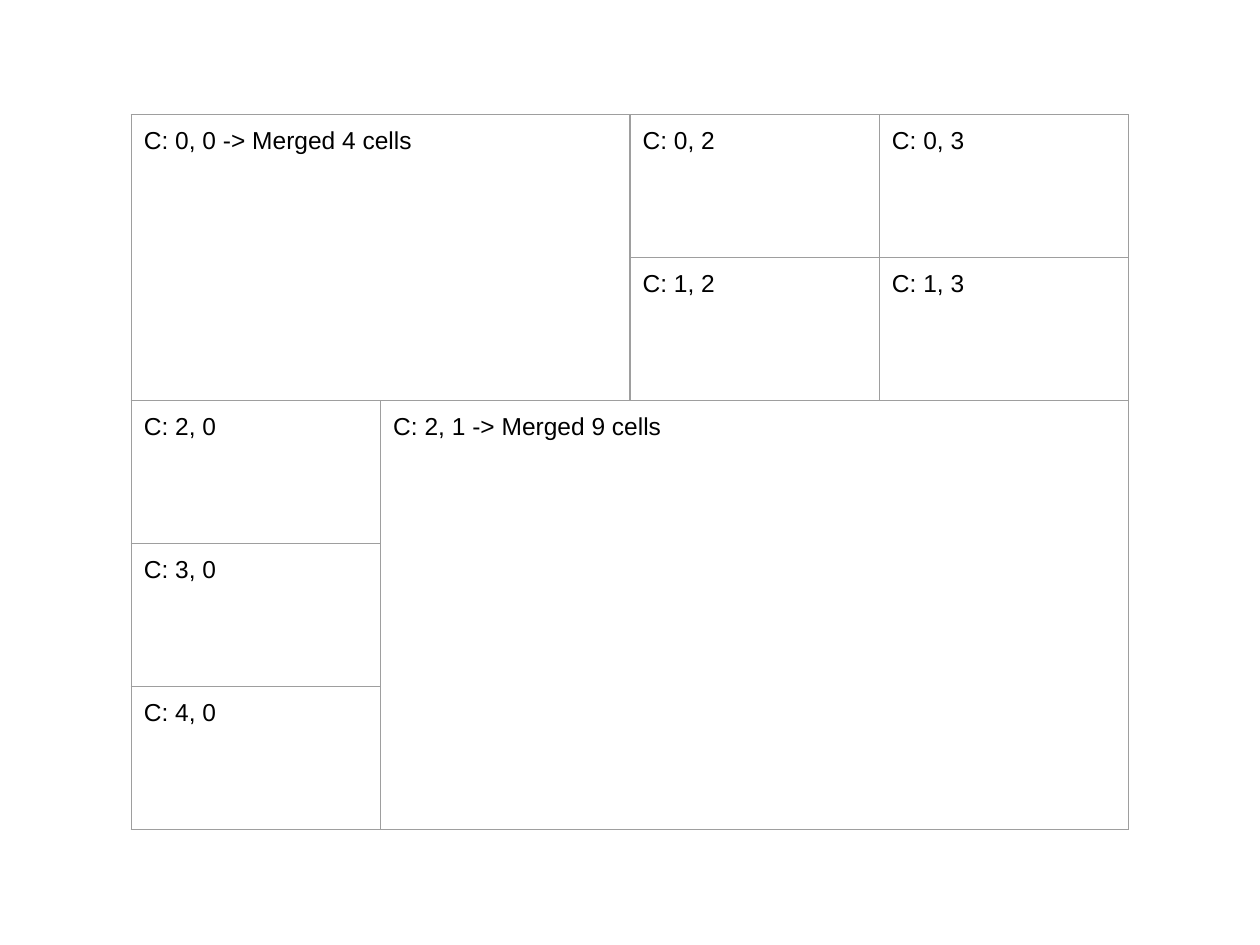
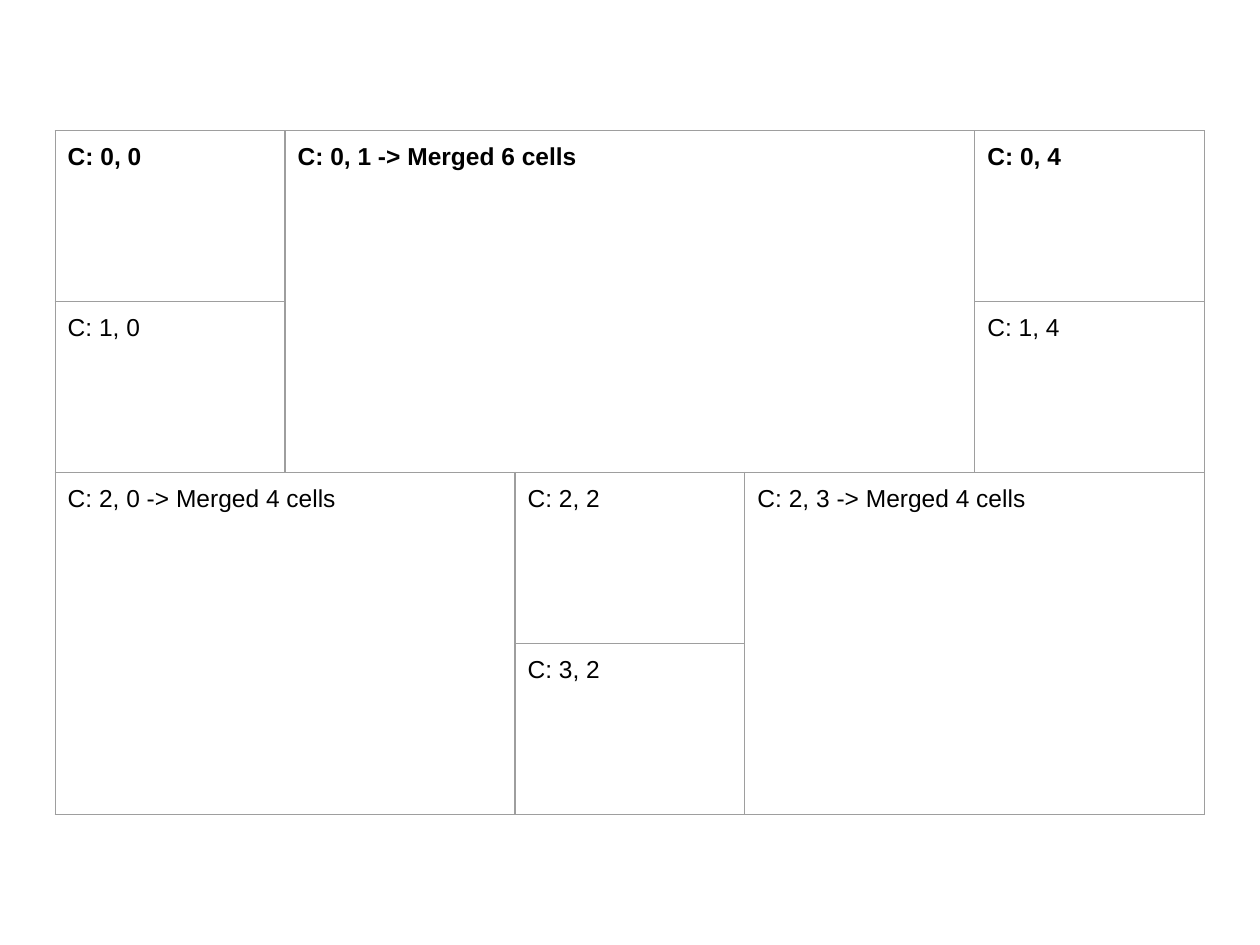
"""Build two slides showing tables with merged cells."""
from dataclasses import dataclass
from itertools import product

from lxml import etree
from pptx import Presentation
from pptx.dml.color import RGBColor
from pptx.oxml import ns
from pptx.util import Pt


@dataclass(frozen=True)
class Theme:
    font: str = "Arial"
    size: float = 14
    ink: str = "000000"
    border: str = "9E9E9E"
    border_width: float = 0.75
    inset: float = 7.2


@dataclass(frozen=True)
class Merge:
    row: int
    column: int
    height: int
    width: int

    @property
    def note(self) -> str:
        return f" -> Merged {self.height * self.width} cells"


@dataclass(frozen=True)
class Grid:
    left: float
    top: float
    rows: int
    columns: int
    row_height: float
    column_width: float
    merges: tuple[Merge, ...]
    bold_header: bool = False


THEME = Theme()
GRIDS = (
    Grid(75, 65.6, 5, 4, 81.7, 142.5, (Merge(0, 0, 2, 2), Merge(2, 1, 3, 3))),
    Grid(31.5, 74.6, 4, 5, 97.7, 131.4,
         (Merge(0, 1, 2, 3), Merge(2, 0, 2, 2), Merge(2, 3, 2, 2)), bold_header=True),
)


def write(frame, label: str, *, bold: bool = False, size: float = THEME.size,
          color: str = THEME.ink) -> None:
    run = frame.paragraphs[0].add_run()
    run.text = label
    run.font.name = THEME.font
    run.font.size = Pt(size)
    run.font.bold = bold
    run.font.color.rgb = RGBColor.from_string(color)


def style_cell(cell) -> None:
    properties = cell._tc.get_or_add_tcPr()
    for side in ("a:lnL", "a:lnR", "a:lnT", "a:lnB"):
        edge = etree.SubElement(properties, ns.qn(side), w=str(Pt(THEME.border_width)))
        fill = etree.SubElement(edge, ns.qn("a:solidFill"))
        etree.SubElement(fill, ns.qn("a:srgbClr"), val=THEME.border)
    cell.fill.background()
    cell.margin_left = cell.margin_right = Pt(THEME.inset)
    cell.margin_top = cell.margin_bottom = Pt(THEME.inset)


def draw_grid(slide, grid: Grid) -> None:
    table = slide.shapes.add_table(
        grid.rows, grid.columns, Pt(grid.left), Pt(grid.top),
        Pt(grid.columns * grid.column_width), Pt(grid.rows * grid.row_height)).table
    table.first_row = table.horz_banding = False
    for column in table.columns:
        column.width = Pt(grid.column_width)
    for row in table.rows:
        row.height = Pt(grid.row_height)

    notes = {}
    for merge in grid.merges:
        last = table.cell(merge.row + merge.height - 1, merge.column + merge.width - 1)
        table.cell(merge.row, merge.column).merge(last)
        notes[merge.row, merge.column] = merge.note

    for row, column in product(range(grid.rows), range(grid.columns)):
        cell = table.cell(row, column)
        style_cell(cell)
        if not cell.is_spanned:
            write(cell.text_frame, f"C: {row}, {column}{notes.get((row, column), '')}",
                  bold=grid.bold_header and row == 0)


def main() -> None:
    deck = Presentation()
    deck.slide_width, deck.slide_height = Pt(720), Pt(540)
    blank = deck.slide_layouts[6]
    for grid in GRIDS:
        draw_grid(deck.slides.add_slide(blank), grid)
    deck.save("out.pptx")


if __name__ == "__main__":
    main()
